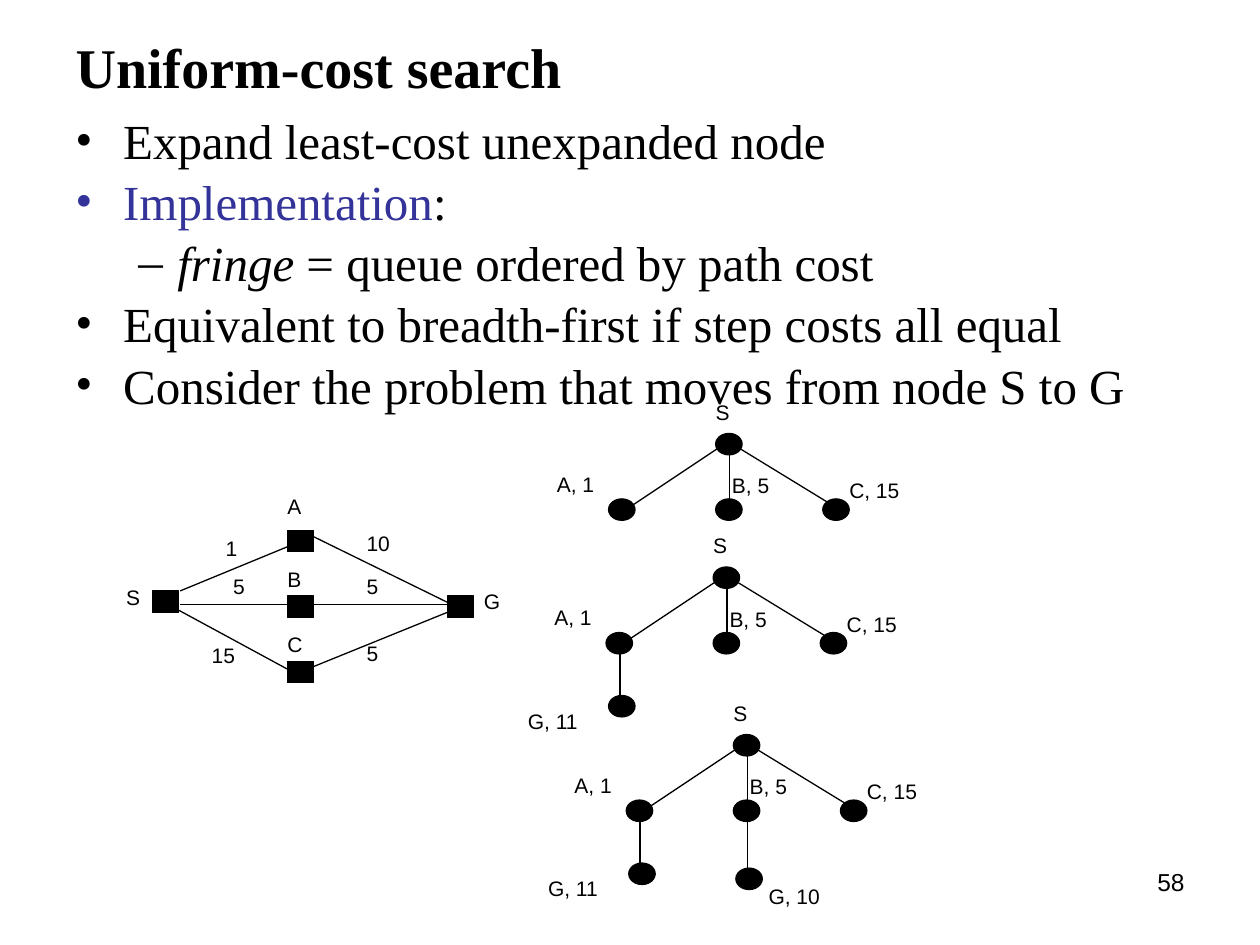
from dataclasses import dataclass

from lxml import etree
from pptx import Presentation
from pptx import util as u
from pptx.dml.color import RGBColor
from pptx.enum import shapes, text
from pptx.oxml.ns import qn


@dataclass(frozen=True)
class Theme:
    ink: RGBColor = RGBColor(0, 0, 0)
    accent: RGBColor = RGBColor(0x33, 0x33, 0x99)
    serif: str = "Times New Roman"
    sans: str = "Arial"
    title: int = 32
    body: int = 28
    number: int = 14
    label: int = 12
    line: float = 0.75


class Board:
    """Draws on one slide; lengths are cells of a grid of 100 columns by 75 rows."""

    NODE = (2.1, 1.7)
    LABEL_HEIGHT = 3.5

    def __init__(self, deck, theme):
        self.theme = theme
        self.slide = deck.slides.add_slide(deck.slide_layouts[5])
        self.target = self.slide.shapes
        self.cell_width = deck.slide_width / 100
        self.cell_height = deck.slide_height / 75

    def cells(self, x, y):
        return u.Emu(round(x * self.cell_width)), u.Emu(round(y * self.cell_height))

    def start_group(self):
        self.target = self.slide.shapes.add_group_shape().shapes

    def font(self, span, size, name, color=None, bold=False, italic=False):
        span.font.size = u.Pt(size)
        span.font.name = name
        span.font.color.rgb = color or self.theme.ink
        span.font.bold = bold
        span.font.italic = italic

    def title(self, words, x, y, width, height):
        box = self.slide.shapes.title
        box.left, box.top = self.cells(x, y)
        box.width, box.height = self.cells(width, height)
        frame = box.text_frame
        frame.text = words
        frame.auto_size = text.MSO_AUTO_SIZE.NONE
        frame.vertical_anchor = text.MSO_ANCHOR.MIDDLE
        para = frame.paragraphs[0]
        para.alignment = text.PP_ALIGN.LEFT
        self.font(para.runs[0], self.theme.title, self.theme.serif, bold=True)

    def text_box(self, x, y, width, height):
        box = self.target.add_textbox(*self.cells(x, y), *self.cells(width, height))
        box.text_frame.word_wrap = True
        return box.text_frame

    def bullet(self, para, mark, color, margin, hanging):
        props = para._p.get_or_add_pPr()
        props.set("marL", str(self.cells(margin, 0)[0]))
        props.set("indent", str(-self.cells(hanging, 0)[0]))
        fill = etree.SubElement(props, qn("a:buClr"))
        etree.SubElement(fill, qn("a:srgbClr"), val=str(color))
        etree.SubElement(props, qn("a:buFont"), typeface=self.theme.serif)
        etree.SubElement(props, qn("a:buChar"), char=mark)

    def bullets(self, items, x, y, width, height):
        """Each item is a level and its spans: (words, color, italic)."""
        frame = self.text_box(x, y, width, height)
        for index, (level, spans) in enumerate(items):
            para = frame.add_paragraph() if index else frame.paragraphs[0]
            para.level = level
            mark, margin, hanging = (("•", 3.8, 3.8), ("–", 8.1, 3.1))[level]
            self.bullet(para, mark, spans[0][1], margin, hanging)
            para.line_spacing = 0.8
            para.space_before = u.Pt(8 if index else 0)
            for words, color, italic in spans:
                span = para.add_run()
                span.text = words
                self.font(span, self.theme.body, self.theme.serif, color, italic=italic)

    def page_number(self, words, x, y, width, height):
        frame = self.text_box(x, y, width, height)
        frame.text = words
        para = frame.paragraphs[0]
        para.alignment = text.PP_ALIGN.RIGHT
        self.font(para.runs[0], self.theme.number, self.theme.sans)

    def label(self, words, x, y, width):
        frame = self.text_box(x, y, width, self.LABEL_HEIGHT)
        frame.margin_left = frame.margin_right = 0
        frame.margin_top = frame.margin_bottom = 0
        frame.text = words
        self.font(frame.paragraphs[0].runs[0], self.theme.label, self.theme.sans)

    def node(self, kind, x, y):
        shape = self.target.add_shape(kind, *self.cells(x, y), *self.cells(*self.NODE))
        shape.shadow.inherit = False
        shape.fill.solid()
        shape.fill.fore_color.rgb = self.theme.ink
        shape.line.color.rgb = self.theme.ink
        shape.line.width = u.Pt(self.theme.line)

    def edge(self, start, end):
        line = self.target.add_connector(
            shapes.MSO_CONNECTOR.STRAIGHT, *self.cells(*start), *self.cells(*end))
        line.line.color.rgb = self.theme.ink
        line.line.width = u.Pt(self.theme.line)
        etree.SubElement(line._element.spPr, qn("a:effectLst"))

    def graph(self, nodes, edges, labels):
        self.start_group()
        for x, y in nodes:
            self.node(shapes.MSO_SHAPE.RECTANGLE, x, y)
        for start, end in edges:
            self.edge(start, end)
        for words, x, y, width in labels:
            self.label(words, x, y, width)

    def tree(self, x, y, branches):
        """Root at (x, y); each branch is (node, edge start, edge end, label), relative to it."""
        self.start_group()
        self.node(shapes.MSO_SHAPE.OVAL, x, y)
        self.label("S", x, y - 2.7, 2.1)
        for node, start, end, (words, label_x, label_y, width) in branches:
            self.node(shapes.MSO_SHAPE.OVAL, x + node[0], y + node[1])
            self.edge((x + start[0], y + start[1]), (x + end[0], y + end[1]))
            self.label(words, x + label_x, y + label_y, width)


FIRST_LEVEL = [
    ((-8.5, 5.2), (-7.8, 6.5), (1.2, 0.5), ("A, 1", -12.6, 3, 6.4)),
    ((0, 5.2), (1.1, 5.9), (1.1, 0.7), ("B, 5", 1.3, 3.1, 5)),
    ((8.5, 5.2), (9.6, 5.9), (1.1, 0.7), ("C, 15", 10.6, 3.5, 8.5)),
]
GOAL_BY_A = ((-8.3, 10.2), (-7.4, 11.6), (-7.4, 6.4), ("G, 11", -14.7, 11.2, 6.4))
GOAL_BY_B = ((0.2, 10.6), (1.1, 11.9), (1.1, 6.7), ("G, 10", 2.8, 11.8, 6.4))


def main():
    deck = Presentation()
    deck.slide_width, deck.slide_height = u.Inches(10), u.Inches(7.5)
    theme = Theme()
    board = Board(deck, theme)
    ink = theme.ink

    board.page_number("58", 71.7, 68.3, 23.3, 5.2)
    board.title("Uniform-cost search", 5, 3, 90, 4.5)
    board.bullets([
        (0, [("Expand least-cost unexpanded node", ink, False)]),
        (0, [("Implementation", theme.accent, False), (":", ink, False)]),
        (1, [("fringe", ink, True), (" = queue ordered by path cost", ink, False)]),
        (0, [("Equivalent to breadth-first if step costs all equal", ink, False)]),
        (0, [("Consider the problem that moves from node S to G", ink, False)]),
    ], 5, 9.2, 90, 24.2)

    middle = 22.8
    board.graph(
        nodes=[(12.1, 46.9), (35.5, 47.3)] + [(middle, 42.1 + 5.2 * i) for i in range(3)],
        edges=[
            ((14.3, 46.9), (22.8, 43.4)),
            ((24.9, 42.6), (35.5, 47.8)),
            ((14.3, 48), (35.5, 48)),
            ((24.9, 52.9), (35.5, 48.6)),
            ((12.1, 47.3), (22.8, 53.1)),
        ],
        labels=[
            ("S", 10, 46.4, 2.1), ("G", 38.4, 46.7, 2.1),
            ("A", middle, 39.2, 2.1), ("B", middle, 45, 2.1), ("C", middle, 50.1, 2.1),
            ("1", 17.9, 42.5, 2.1), ("5", 18.5, 45.5, 2.1), ("15", 16.8, 51, 4.3),
            ("10", 29.1, 42.1, 4.3), ("5", 29.1, 45.5, 2.1), ("5", 29.1, 50.8, 2.1),
        ])

    board.tree(56.8, 34.4, FIRST_LEVEL)
    board.tree(56.6, 45, FIRST_LEVEL + [GOAL_BY_A])
    board.tree(58.2, 58.3, FIRST_LEVEL + [GOAL_BY_A, GOAL_BY_B])
    deck.save("out.pptx")


if __name__ == "__main__":
    main()
